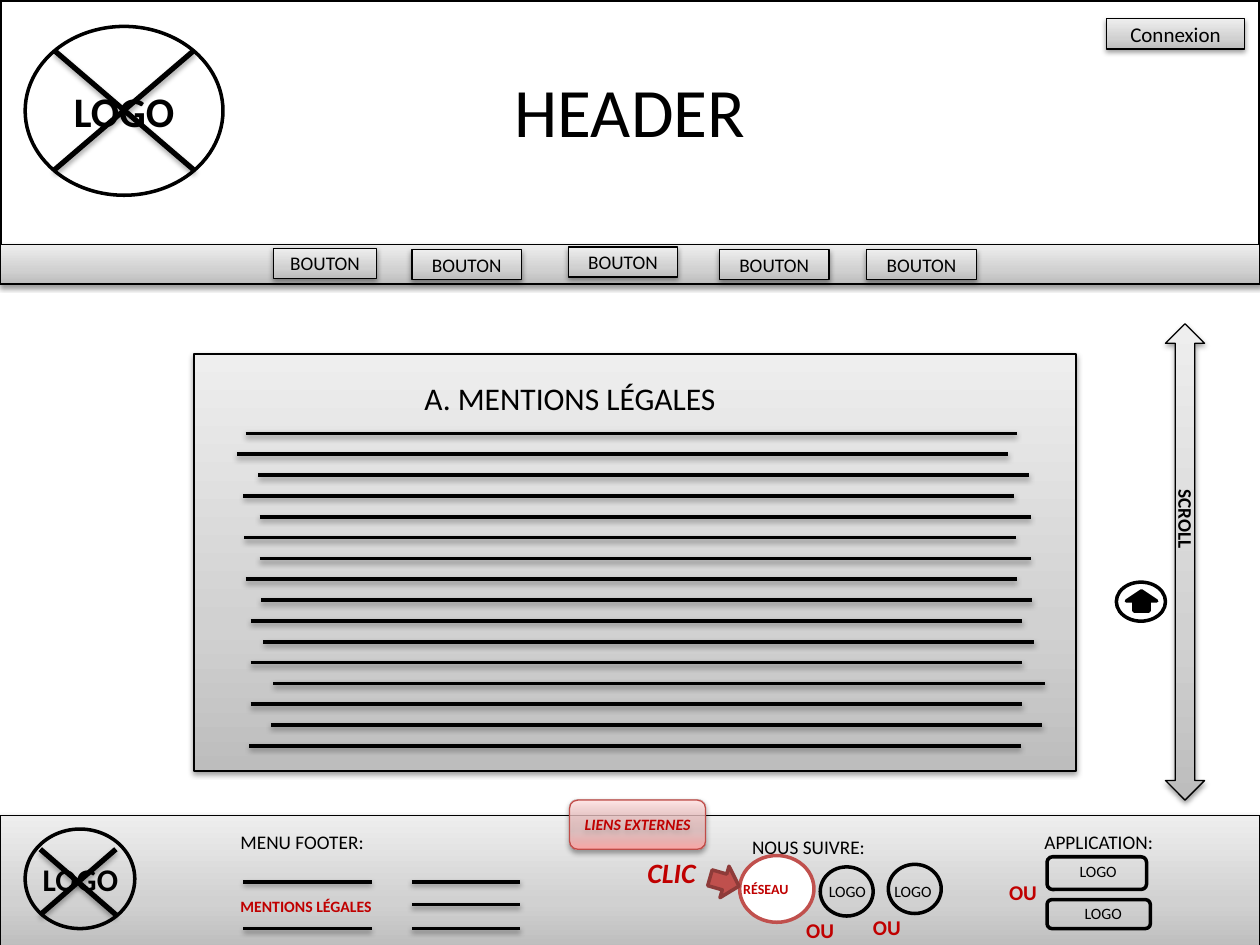
from dataclasses import dataclass

from lxml import etree
from pptx import Presentation
from pptx.dml.color import RGBColor
from pptx.enum.shapes import MSO_CONNECTOR, MSO_SHAPE
from pptx.enum.text import MSO_ANCHOR, MSO_AUTO_SIZE, PP_ALIGN
from pptx.oxml import parse_xml
from pptx.oxml.ns import nsdecls, qn
from pptx.util import Inches, Pt

RECT, ROUND, OVAL = MSO_SHAPE.RECTANGLE, MSO_SHAPE.ROUNDED_RECTANGLE, MSO_SHAPE.OVAL
UP, UP_DOWN = MSO_SHAPE.UP_ARROW, MSO_SHAPE.UP_DOWN_ARROW
STRAIGHT = MSO_CONNECTOR.STRAIGHT
MIDDLE, CENTER, LEFT = MSO_ANCHOR.MIDDLE, PP_ALIGN.CENTER, PP_ALIGN.LEFT
FIT = MSO_AUTO_SIZE.SHAPE_TO_FIT_TEXT


@dataclass(frozen=True)
class Theme:
    font: str = "Calibri"
    black: str = "000000"
    white: str = "FFFFFF"
    red: str = "C00000"
    coral: str = "C0504D"
    coral_dark: str = "8E3B39"
    coral_edge: str = "BF4C48"
    # Gradient stops run from bottom to top: position %, colour, opacity %
    grey: tuple = ((0, "BDBDBD", 100), (35, "D1D1D1", 100), (100, "EEEEEE", 100))
    pink: tuple = ((0, "FFA6A5", 100), (36, "FFC0BF", 46), (100, "FFE7E7", 100))
    title: float = 39.6
    logo: int = 24
    heading: int = 18
    click: int = 16
    medium: int = 12
    label: int = 11
    small: int = 9
    tiny: int = 8
    thin: float = 0.75
    line: int = 2
    cross: int = 3


T = Theme()


def write(tf, text, size, color=T.black, bold=False, italic=False, align=LEFT):
    p = tf.paragraphs[0]
    p.text = text
    p.alignment = align
    f = p.font
    f.name, f.size, f.bold, f.italic = T.font, Pt(size), bold, italic
    f.color.rgb = RGBColor.from_string(color)


def set_shadow(sp, opacity=38, distance=1.6):
    sp_pr = sp._element.spPr
    for old in sp_pr.findall(qn("a:effectLst")):
        sp_pr.remove(old)
    sp_pr.append(parse_xml(
        f'<a:effectLst {nsdecls("a")}><a:outerShdw blurRad="{Pt(3.1)}" dist="{Pt(distance)}" '
        f'dir="5400000" rotWithShape="0"><a:srgbClr val="{T.black}">'
        f'<a:alpha val="{opacity * 1000}"/></a:srgbClr></a:outerShdw></a:effectLst>'))


def set_gradient(sp, stops):
    sp.fill.gradient()
    sp.fill.gradient_angle = 90
    gs_list = sp._element.spPr.find(qn("a:gradFill")).find(qn("a:gsLst"))
    for gs in list(gs_list):
        gs_list.remove(gs)
    for pos, color, opacity in stops:
        gs = etree.SubElement(gs_list, qn("a:gs"), pos=str(pos * 1000))
        clr = etree.SubElement(gs, qn("a:srgbClr"), val=color)
        if opacity < 100:
            etree.SubElement(clr, qn("a:alpha"), val=str(opacity * 1000))


def add_shape(s, kind, x, y, w, h, fill=None, line=T.black, width=T.line):
    sp = s.shapes.add_shape(kind, Inches(x), Inches(y), Inches(w), Inches(h))
    sp.shadow.inherit = False
    if fill:
        sp.fill.solid()
        sp.fill.fore_color.rgb = RGBColor.from_string(fill)
    else:
        sp.fill.background()
    sp.line.color.rgb = RGBColor.from_string(line)
    sp.line.width = Pt(width)
    return sp


def add_panel(s, kind, x, y, w, h, stops=T.grey, line=T.black):
    sp = add_shape(s, kind, x, y, w, h, line=line, width=T.thin)
    set_gradient(sp, stops)
    set_shadow(sp)
    return sp


def label(sp, text, size, **style):
    tf = sp.text_frame
    tf.margin_left = tf.margin_right = Inches(0.02)
    tf.vertical_anchor = MIDDLE
    write(tf, text, size, align=CENTER, **style)


def add_text(s, text, x, y, w, h, size, wrap=True, **style):
    sp = s.shapes.add_textbox(Inches(x), Inches(y), Inches(w), Inches(h))
    sp.text_frame.word_wrap = wrap
    sp.text_frame.auto_size = FIT
    write(sp.text_frame, text, size, **style)
    return sp


def add_line(s, x1, y1, x2, y2, width=T.line, opacity=38, distance=1.6):
    c = s.shapes.add_connector(STRAIGHT, Inches(x1), Inches(y1), Inches(x2), Inches(y2))
    c.line.color.rgb = RGBColor.from_string(T.black)
    c.line.width = Pt(width)
    set_shadow(c, opacity, distance)


def add_cross(s, x1, y1, x2, y2):
    for start, end in ((y2, y1), (y1, y2)):
        add_line(s, x1, start, x2, end, T.cross, 35, 1.8)


def draw_header(s):
    title = s.shapes.title
    title.left, title.top, title.width, title.height = 0, 0, Inches(10), Inches(1.74)
    title.text_frame.vertical_anchor = MIDDLE
    write(title.text_frame, "HEADER", T.title, align=CENTER)

    logo = add_shape(s, OVAL, 0.2, 0.21, 1.57, 1.34, fill=T.white)
    label(logo, "LOGO", T.logo, bold=True)
    add_cross(s, 0.43, 0.4, 1.54, 1.35)

    # Frame, navigation bar and its buttons
    add_shape(s, RECT, 0, 0, 10, 2.25)
    add_panel(s, RECT, 0, 1.94, 10, 0.31)
    for x, y, w in ((2.17, 1.97, 0.82), (3.27, 1.98, 0.87), (4.51, 1.96, 0.87),
                    (5.71, 1.98, 0.87), (6.88, 1.98, 0.87)):
        label(add_panel(s, RECT, x, y, w, 0.24), "BOUTON", T.label)
    label(add_panel(s, RECT, 8.78, 0.15, 1.1, 0.24), "Connexion", T.medium)


def draw_content(s):
    add_panel(s, RECT, 1.54, 2.81, 7, 3.31)
    add_text(s, "A. MENTIONS LÉGALES", 3.27, 2.96, 4.52, 0.4, T.heading)

    # Evenly spaced lines standing for the text
    lefts = (1.95, 1.88, 2.05, 1.93, 2.06, 1.94, 2.06, 1.95,
             2.07, 1.99, 2.09, 1.99, 2.17, 1.99, 2.15, 1.98)
    top, bottom, length = 3.44, 5.92, 6.12
    step = (bottom - top) / (len(lefts) - 1)
    for i, x in enumerate(lefts):
        add_line(s, x, top + i * step, x + length, top + i * step)


def draw_scroll(s):
    add_panel(s, UP_DOWN, 9.25, 2.57, 0.31, 3.78)
    add_text(s, "SCROLL", 8.82, 4.23, 1.18, 0.29, T.label, bold=True).rotation = 90
    add_shape(s, OVAL, 8.86, 4.62, 0.39, 0.31, fill=T.white)
    add_shape(s, UP, 8.94, 4.69, 0.24, 0.16, fill=T.black)


def draw_footer(s):
    add_panel(s, RECT, 0, 6.47, 10, 1.06)
    add_shape(s, OVAL, 0.2, 6.58, 0.87, 0.79)
    add_cross(s, 0.32, 6.74, 0.92, 7.26)
    add_text(s, "LOGO", 0.24, 6.78, 0.81, 0.4, T.heading, wrap=False, bold=True)

    # Column headings
    for text, x, y, w in (("MENU FOOTER:", 1.81, 6.54, 1.3), ("NOUS SUIVRE:", 5.87, 6.58, 1.18),
                          ("APPLICATION:", 8.19, 6.54, 1.15)):
        add_text(s, text, x, y, w, 0.29, T.label)

    # Footer menu
    for x1, x2, rows in ((1.93, 2.95, (7, 7.37)), (3.27, 4.13, (7, 7.18, 7.37))):
        for y in rows:
            add_line(s, x1, y, x2, y)
    add_text(s, "MENTIONS LÉGALES", 1.81, 7.07, 1.3, 0.25, T.small, color=T.red, bold=True)

    # Social networks and applications
    add_shape(s, OVAL, 5.87, 6.79, 0.59, 0.53, fill=T.white, line=T.coral)
    add_text(s, "RÉSEAU", 5.8, 6.94, 0.71, 0.24, T.tiny, wrap=False, color=T.red, bold=True)
    for kind, x, y, w, h, text_x, text_y in (
            (OVAL, 6.51, 6.88, 0.42, 0.39, 6.48, 6.95), (OVAL, 7.05, 6.86, 0.42, 0.39, 7, 6.95),
            (ROUND, 8.31, 6.8, 0.79, 0.26, 8.47, 6.79), (ROUND, 8.31, 7.14, 0.82, 0.23, 8.51, 7.12)):
        add_shape(s, kind, x, y, w, h)
        add_text(s, "LOGO", text_x, text_y, 0.5, 0.25, T.small, wrap=False)
    for x, y in ((6.3, 7.23), (6.83, 7.21), (7.91, 6.93)):
        add_text(s, "OU", x, y, 0.42, 0.3, T.medium, wrap=False, color=T.red, bold=True)

    # Click hint and external links tag
    add_text(s, "CLIC", 5.04, 6.74, 0.66, 0.37, T.click, color=T.red, bold=True, italic=True)
    arrow = add_shape(s, UP, 5.62, 6.88, 0.26, 0.24, fill=T.coral, line=T.coral_dark)
    arrow.rotation = 106
    tag = add_panel(s, ROUND, 4.52, 6.35, 1.08, 0.39, T.pink, T.coral_edge)
    label(tag, "LIENS EXTERNES", T.small, color=T.red, bold=True, italic=True)


def main():
    prs = Presentation()
    prs.slide_width, prs.slide_height = Inches(10), Inches(7.5)
    s = prs.slides.add_slide(prs.slide_layouts[0])
    subtitle = s.placeholders[1]._element
    subtitle.getparent().remove(subtitle)
    draw_header(s)
    draw_content(s)
    draw_scroll(s)
    draw_footer(s)
    prs.save("out.pptx")


if __name__ == "__main__":
    main()
